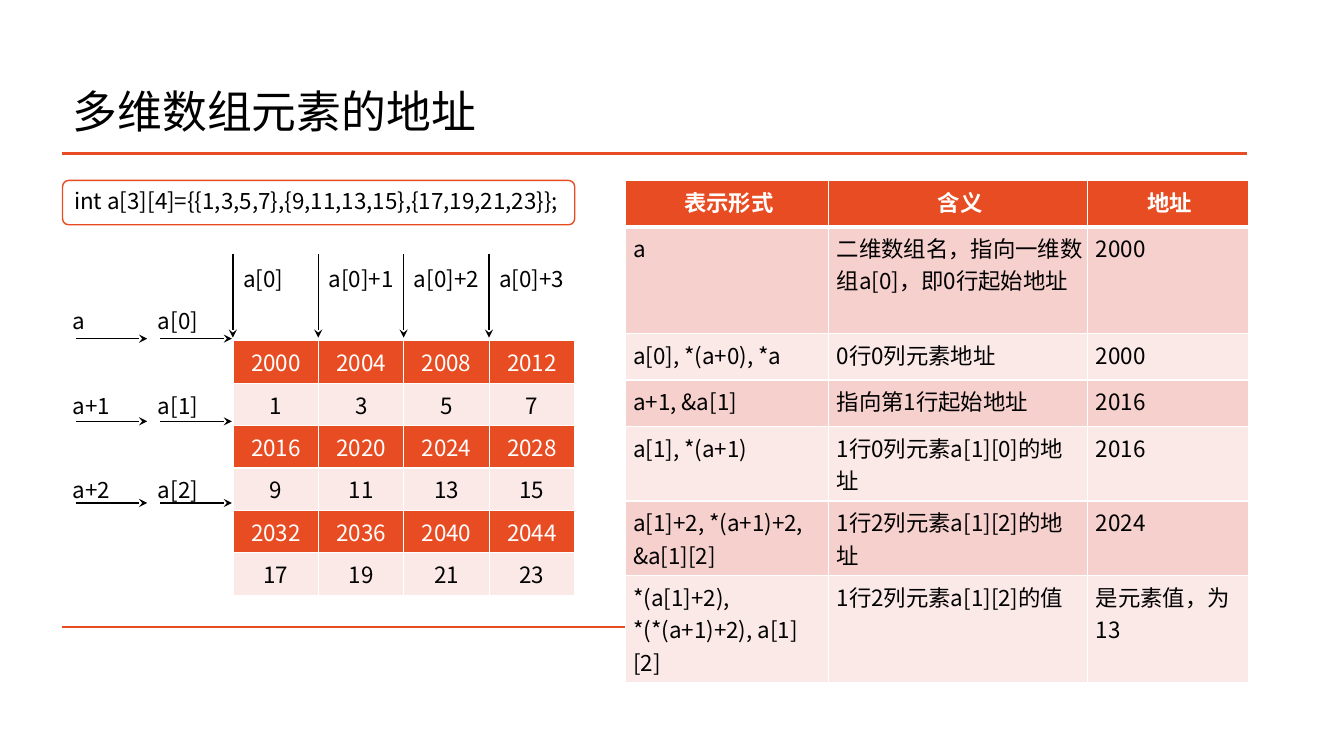
from dataclasses import dataclass

from lxml.etree import SubElement
from pptx import Presentation
from pptx.dml.color import RGBColor
from pptx.enum.shapes import MSO_CONNECTOR as LineKind, MSO_SHAPE as Shape
from pptx.enum.text import MSO_ANCHOR as Anchor, MSO_AUTO_SIZE as AutoSize, PP_ALIGN as Align
from pptx.oxml.ns import qn
from pptx.util import Inches, Pt


@dataclass(frozen=True)
class Theme:
    font: str = "Noto Sans CJK SC"
    accent: str = "E84C22"
    band: str = "F6D0CD"
    pale: str = "FBE9E8"
    ink: str = "000000"
    white: str = "FFFFFF"
    title_size: int = 32
    text_size: int = 16
    plain_table: str = "{2D5ABB26-0587-4C30-8999-92F81FD0307C}"


class SlideBuilder:
    def __init__(self, slide, theme):
        self.slide, self.theme = slide, theme

    def add_text(self, frame, text, size, color, align=Align.LEFT, bold=False):
        paragraph = frame.paragraphs[0]
        paragraph.alignment = align
        run = paragraph.add_run()
        run.text = text
        run.font.name = self.theme.font
        SubElement(run._r.get_or_add_rPr(), qn("a:ea"), typeface=self.theme.font)
        run.font.size, run.font.bold = Pt(size), bold
        run.font.color.rgb = RGBColor.from_string(color)
        return paragraph

    def title(self, text, left, top, width, height):
        heading = self.slide.shapes.title
        heading.left, heading.top = Inches(left), Inches(top)
        heading.width, heading.height = Inches(width), Inches(height)
        frame = heading.text_frame
        frame.auto_size, frame.vertical_anchor = AutoSize.NONE, Anchor.MIDDLE
        paragraph = self.add_text(frame, text, self.theme.title_size, self.theme.ink)
        paragraph.line_spacing = 0.9

    def line(self, x1, y1, x2, y2, color, width=1, arrow=False):
        line = self.slide.shapes.add_connector(
            LineKind.STRAIGHT, Inches(x1), Inches(y1), Inches(x2), Inches(y2))
        line.line.color.rgb = RGBColor.from_string(color)
        line.line.width = Pt(width)
        if arrow:
            SubElement(line.line._get_or_add_ln(), qn("a:tailEnd"), type="stealth")
        SubElement(line._element.spPr, qn("a:effectLst"))

    def arrow(self, x1, y1, x2, y2):
        self.line(x1, y1, x2, y2, self.theme.ink, arrow=True)

    def code_box(self, text, left, top, width, height):
        box = self.slide.shapes.add_shape(
            Shape.ROUNDED_RECTANGLE, Inches(left), Inches(top), Inches(width), Inches(height))
        box.adjustments[0] = 0.14
        box.shadow.inherit = False
        box.fill.solid()
        box.fill.fore_color.rgb = RGBColor.from_string(self.theme.white)
        box.line.color.rgb = RGBColor.from_string(self.theme.accent)
        box.line.width = Pt(1)
        box.text_frame.word_wrap = True
        box.text_frame.vertical_anchor = Anchor.TOP
        self.add_text(box.text_frame, text, self.theme.text_size, self.theme.ink)

    def table(self, left, top, widths, heights):
        holder = self.slide.shapes.add_table(
            len(heights), len(widths), Inches(left), Inches(top),
            Inches(sum(widths)), Inches(sum(heights)))
        table = holder.table
        table.first_row = table.horz_banding = False
        next(holder._element.iter(qn("a:tableStyleId"))).text = self.theme.plain_table
        for column, width in zip(table.columns, widths):
            column.width = Inches(width)
        for row, height in zip(table.rows, heights):
            row.height = Inches(height)
        return table

    def cell(self, cell, text, fill=None, color=None, borders=None, **style):
        """Borders map a side (L, R, T, B) to a width in points."""
        for side, points in (borders or {}).items():
            edge = SubElement(cell._tc.get_or_add_tcPr(), qn(f"a:ln{side}"), w=str(Pt(points)))
            paint = SubElement(edge, qn("a:solidFill"))
            SubElement(paint, qn("a:srgbClr"), val=self.theme.white)
        if fill:
            cell.fill.solid()
            cell.fill.fore_color.rgb = RGBColor.from_string(fill)
        else:
            cell.fill.background()
        if text:
            self.add_text(cell.text_frame, text, self.theme.text_size,
                          color or self.theme.ink, **style)
        else:
            cell.text_frame.paragraphs[0].font.size = Pt(self.theme.text_size)

    def memory_table(self, left, top, width, height, values, base, item_bytes):
        """Array labels around rows of addresses and the values stored there."""
        theme, columns = self.theme, len(values[0])
        column_count, row_count = columns + 2, 2 * len(values) + 2
        table = self.table(left, top, [width / column_count] * column_count,
                           [height / row_count] * row_count)
        grid = [["", "", "a[0]"] + [f"a[0]+{k}" for k in range(1, columns)],
                [""] * column_count]
        for n, row in enumerate(values):
            start = base + n * columns * item_bytes
            # Pointers stand in the row above the addresses they lead to
            grid[-1][:2] = [f"a+{n}" if n else "a", f"a[{n}]"]
            grid.append(["", ""] + [str(start + k * item_bytes) for k in range(columns)])
            grid.append(["", ""] + [str(value) for value in row])
        for r, row in enumerate(grid):
            for c, text in enumerate(row):
                cell = table.cell(r, c)
                cell.vertical_anchor = Anchor.MIDDLE
                if r < 2 or c < 2:
                    self.cell(cell, text)
                elif r % 2 == 0:
                    self.cell(cell, text, theme.accent, theme.white,
                              {"L": 1, "R": 1, "T": 1}, align=Align.CENTER)
                else:
                    self.cell(cell, text, theme.pale, theme.ink,
                              {"L": 1, "R": 1, "B": 1}, align=Align.CENTER)

    def meaning_table(self, left, top, widths, heights, rows):
        theme = self.theme
        table = self.table(left, top, widths, heights)
        table.first_row = True
        for r, row in enumerate(rows):
            for c, text in enumerate(row):
                cell = table.cell(r, c)
                cell.margin_left, cell.margin_right = Inches(0.08), Inches(0.04)
                borders = {"L": 1, "R": 1, "T": 3 if r == 1 else 1, "B": 1 if r else 3}
                if r == 0:
                    self.cell(cell, text, theme.accent, theme.white, borders,
                              align=Align.CENTER, bold=True)
                else:
                    self.cell(cell, text, theme.band if r % 2 else theme.pale,
                              theme.ink, borders)


MEANINGS = [
    ("表示形式", "含义", "地址"),
    ("a", "二维数组名，指向一维数组a[0]，即0行起始地址", "2000"),
    ("a[0], *(a+0), *a", "0行0列元素地址", "2000"),
    ("a+1, &a[1]", "指向第1行起始地址", "2016"),
    ("a[1], *(a+1)", "1行0列元素a[1][0]的地址", "2016"),
    ("a[1]+2, *(a+1)+2, &a[1][2]", "1行2列元素a[1][2]的地址", "2024"),
    ("*(a[1]+2), *(*(a+1)+2), a[1][2]", "1行2列元素a[1][2]的值", "是元素值，为13"),
]
ARRAY = [(1, 3, 5, 7), (9, 11, 13, 15), (17, 19, 21, 23)]


def main():
    deck = Presentation()
    deck.slide_width, deck.slide_height = Inches(13.33), Inches(7.5)
    theme = Theme()
    page = SlideBuilder(deck.slides.add_slide(deck.slide_layouts[5]), theme)

    # Title and rules
    page.title("多维数组元素的地址", 0.62, 0.61, 11.5, 1.04)
    for rule_y in (1.52, 6.22):
        page.line(0.62, rule_y, 12.37, rule_y, theme.accent, width=2)

    # Memory layout with its pointers
    memory_width = 5.08
    page.memory_table(0.62, 2.54, memory_width, 3.24, ARRAY, base=2000, item_bytes=4)
    for n in range(4):
        column_x = 2.31 + n * memory_width / 6
        page.arrow(column_x, 2.52, column_x, 3.35)
    for row_y in (3.36, 4.18, 4.99):
        for start_x in (0.75, 1.59):
            page.arrow(start_x, row_y, start_x + 0.71, row_y)

    # Declaration
    page.code_box("int a[3][4]={{1,3,5,7},{9,11,13,15},{17,19,21,23}};",
                  0.62, 1.79, memory_width, 0.44)

    # Meaning of each expression
    page.meaning_table(6.2, 1.79, (2.02, 2.57, 1.59),
                       (0.46, 0.72, 0.46, 0.46, 0.46, 0.72, 0.72), MEANINGS)
    deck.save("out.pptx")


if __name__ == "__main__":
    main()
